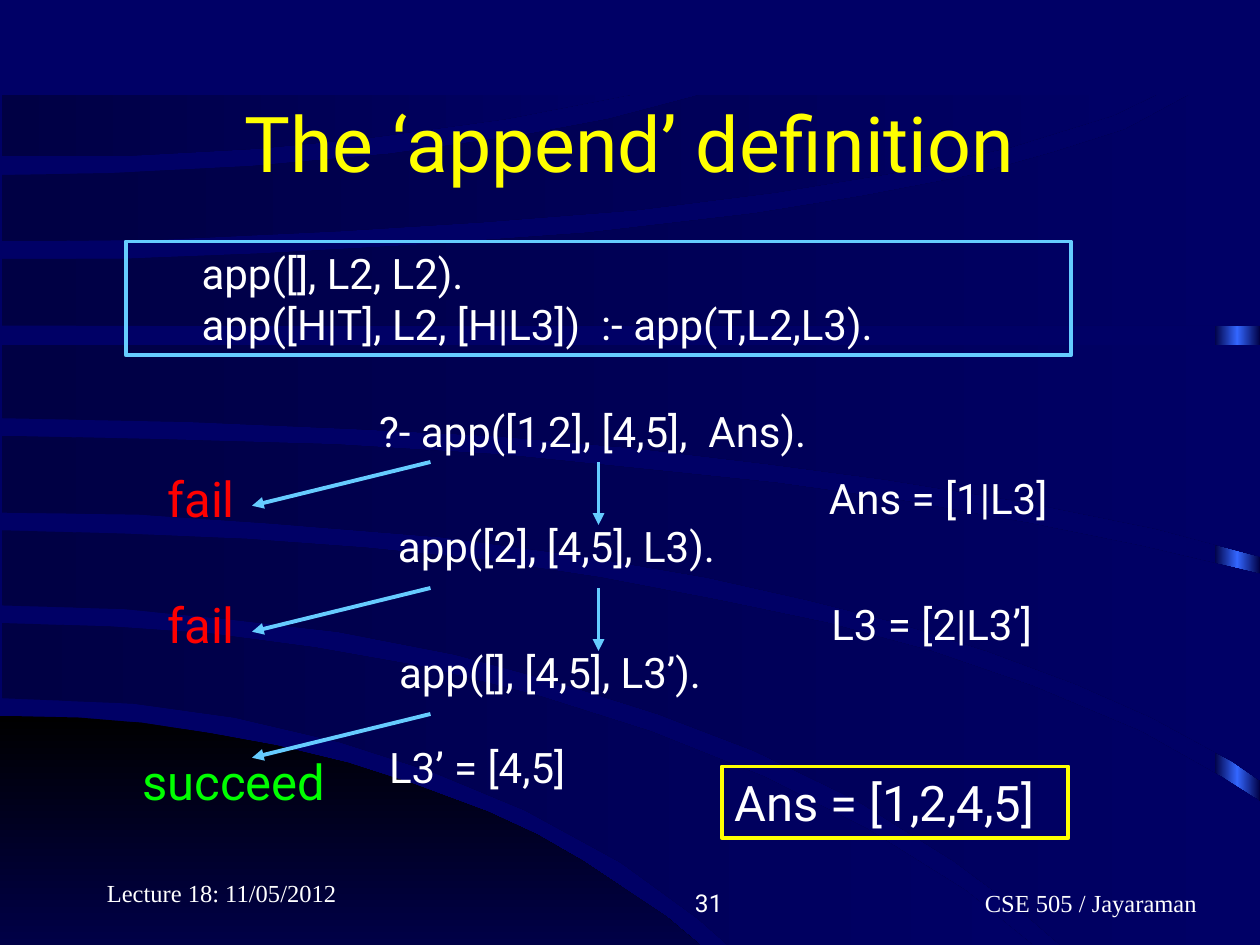
import copy
from dataclasses import dataclass

import pptx
import pptx.dml.color
import pptx.enum.shapes
import pptx.enum.text
import pptx.oxml
import pptx.oxml.ns
import pptx.util

Pt = pptx.util.Pt
ALIGN = pptx.enum.text.PP_ALIGN
ANCHOR = pptx.enum.text.MSO_ANCHOR
RECTANGLE = pptx.enum.shapes.MSO_SHAPE.RECTANGLE
STRAIGHT = pptx.enum.shapes.MSO_CONNECTOR.STRAIGHT

WIDTH, HEIGHT = 720, 540
NAVY, DARK, SKY = "000066", "000044", "66CCFF"
WHITE, YELLOW, RED, GREEN = "FFFFFF", "FFFF00", "FF0000", "00FF00"
STEP = 72  # vertical distance between resolution steps

Points = list[tuple[float, float]]


@dataclass
class Band:
    """Area between two curves, both listed from left to right."""
    top: Points
    bottom: Points


@dataclass
class Label:
    text: str
    left: float
    top: float
    width: float
    size: float = 24
    color: str = WHITE


@dataclass
class Arrow:
    start: tuple[float, float]
    end: tuple[float, float]


BANDS = [
    Band([(1, 356), (63, 358), (120, 362), (180, 370), (242, 381), (309, 398), (372, 418),
          (437, 444), (496, 474), (552, 509), (590, 540)],
         [(1, 399), (76, 402), (134, 410), (194, 424), (247, 441), (300, 463), (355, 493),
          (399, 525), (416, 540)]),
    Band([(1, 303), (71, 305), (141, 308), (209, 313), (277, 320), (343, 330), (411, 343),
          (473, 356), (532, 372), (590, 392), (652, 418), (698, 444), (720, 458)],
         [(1, 346), (71, 348), (132, 354), (193, 361), (260, 374), (319, 390), (376, 408),
          (431, 429), (489, 457), (545, 492), (584, 521), (606, 540), (720, 540)]),
    Band([(1, 249), (90, 251), (192, 254), (289, 260), (377, 269), (444, 276), (515, 286),
          (588, 299), (652, 312), (720, 328)],
         [(1, 293), (79, 294), (153, 299), (253, 307), (334, 318), (404, 330), (462, 343),
          (513, 356), (564, 372), (615, 391), (658, 410), (704, 435), (720, 446)]),
    Band([(1, 197), (720, 197)],
         [(1, 239), (107, 241), (201, 245), (281, 249), (362, 256), (438, 265), (506, 274),
          (586, 287), (660, 302), (720, 318)]),
    Band([(1, 148), (68, 148), (147, 145), (238, 140), (336, 133), (431, 122), (493, 112),
          (556, 100), (602, 87), (643, 74), (680, 54), (720, 54)],
         [(1, 186), (720, 186)]),
    Band([(1, 100), (63, 99), (143, 95), (222, 88), (300, 77), (348, 68), (401, 54)],
         [(1, 138), (91, 137), (195, 132), (275, 127), (364, 120), (443, 110), (516, 98),
          (578, 84), (636, 66), (661, 54)]),
    Band([(1, 54), (361, 54)],
         [(1, 89), (73, 89), (146, 85), (209, 79), (289, 68), (361, 54)]),
]
GLOW = Band([(0, 409), (45, 410), (81, 413), (120, 419), (158, 426), (199, 436), (236, 448),
             (279, 464), (307, 477), (333, 492), (357, 508), (381, 524), (400, 540)],
            [(0, 540)])

GOALS = [
    Label("?- app([1,2], [4,5],  Ans).", 209.5, 228, 275),
    Label("app([2], [4,5], L3).", 220.3, 294, 209),
    Label("app([], [4,5], L3’).", 221, 366, 199.5),
]
BINDINGS = [
    Label("Ans = [1|L3]", 466.6, 266.4, 151),
    Label("L3 = [2|L3’]", 468, 338.4, 139.7),
    Label("L3’ = [4,5]", 215.3, 420, 126.7),
]
OUTCOMES = [
    Label("fail", 88.6, 264.2, 54, 28, RED),
    Label("fail", 88.6, 264.2 + STEP, 54, 28, RED),
    Label("succeed", 74.2, 426.2, 120, 28, GREEN),
]
ARROWS = [Arrow((246, 264 + i * STEP), (144, 289 + i * STEP)) for i in range(3)]
ARROWS += [Arrow((342, 264 + i * STEP), (342, 300 + i * STEP)) for i in range(2)]


def rgb(color: str):
    return pptx.dml.color.RGBColor.from_string(color)


def write(shape, text: str, *, size: float = 24, color: str = WHITE, font: str = "Roboto",
          align=ALIGN.LEFT, anchor=ANCHOR.TOP, wrap: bool = True,
          left_margin: float = 7.2, right_margin: float = 7.2) -> None:
    frame = shape.text_frame
    frame.text = text
    frame.word_wrap = wrap
    frame.vertical_anchor = anchor
    frame.margin_left, frame.margin_right = Pt(left_margin), Pt(right_margin)
    frame.margin_top = frame.margin_bottom = Pt(3.6)
    for paragraph in frame.paragraphs:
        paragraph.alignment = align
        paragraph.font.name = font
        paragraph.font.size = Pt(size)
        paragraph.font.color.rgb = rgb(color)


def fill_gradient(shape, colors: list[str], angle: float = 0) -> None:
    shape.shadow.inherit = False
    shape.line.fill.background()
    shape.fill.gradient()
    shape.fill.gradient_angle = angle
    stop_list = next(shape.element.iter(pptx.oxml.ns.qn("a:gsLst")))
    while len(stop_list) < len(colors):
        stop_list.append(copy.deepcopy(stop_list[-1]))
    for i, (stop, color) in enumerate(zip(shape.fill.gradient_stops, colors)):
        stop.color.rgb = rgb(color)
        stop.position = i / (len(colors) - 1)


def draw_band(shapes, band: Band, colors: list[str], angle: float = 0) -> None:
    first, *rest = band.top + band.bottom[::-1]
    builder = shapes.build_freeform(*first, scale=Pt(1))
    builder.add_line_segments(rest, close=True)
    fill_gradient(builder.convert_to_shape(), colors, angle)


def draw_label(shapes, label: Label, **style) -> None:
    box = shapes.add_textbox(Pt(label.left), Pt(label.top), Pt(label.width), Pt(36))
    write(box, label.text, size=label.size, color=label.color, **style)


def draw_frame(shapes, left: float, top: float, width: float, height: float, color: str):
    frame = shapes.add_shape(RECTANGLE, Pt(left), Pt(top), Pt(width), Pt(height))
    frame.shadow.inherit = False
    frame.fill.background()
    frame.line.color.rgb = rgb(color)
    frame.line.width = Pt(2.25)
    return frame


def draw_arrow(shapes, arrow: Arrow) -> None:
    line = shapes.add_connector(STRAIGHT, *map(Pt, arrow.start + arrow.end))
    line.line.color.rgb = rgb(SKY)
    line.line.width = Pt(2.25)
    tail = pptx.oxml.parse_xml(f'<a:tailEnd {pptx.oxml.ns.nsdecls("a")} type="triangle"/>')
    line.line._get_or_add_ln().append(tail)
    properties = line.element.find(pptx.oxml.ns.qn("p:spPr"))
    properties.append(pptx.oxml.parse_xml(f'<a:effectLst {pptx.oxml.ns.nsdecls("a")}/>'))


def main() -> None:
    deck = pptx.Presentation()
    deck.slide_width, deck.slide_height = Pt(WIDTH), Pt(HEIGHT)
    slide = deck.slides.add_slide(deck.slide_layouts[5])
    shapes = slide.shapes

    # Backdrop
    slide.background.fill.solid()
    slide.background.fill.fore_color.rgb = rgb(NAVY)
    edge = shapes.add_shape(RECTANGLE, Pt(694), Pt(55), Pt(26), Pt(485))
    fill_gradient(edge, [DARK, "3366FF", DARK])
    draw_band(shapes, GLOW, ["000000", "000047"], angle=270)
    for band in BANDS:
        draw_band(shapes, band, [DARK, NAVY])

    # Title, raised above the backdrop
    title = shapes.title
    title.left, title.top, title.width, title.height = Pt(54), Pt(36), Pt(612), Pt(90)
    write(title, "The ‘append’ definition", size=44, color=YELLOW,
          align=ALIGN.CENTER, anchor=ANCHOR.MIDDLE)
    title.element.getparent().append(title.element)

    # Definition and final answer
    definition = draw_frame(shapes, 72, 138, 540, 65, SKY)
    write(definition, "app([], L2, L2).\napp([H|T], L2, [H|L3])  :- app(T,L2,L3).", left_margin=43.2)
    answer = draw_frame(shapes, 412.5, 438, 198, 41, YELLOW)
    write(answer, "Ans = [1,2,4,5]", size=28, wrap=False)

    # Resolution steps
    for arrow in ARROWS:
        draw_arrow(shapes, arrow)
    for label in GOALS + BINDINGS + OUTCOMES:
        draw_label(shapes, label, wrap=False)

    # Footer
    draw_label(shapes, Label("Lecture 18: 11/05/2012", 54, 486, 150, 14),
               font="Times New Roman", anchor=ANCHOR.BOTTOM)
    draw_label(shapes, Label("31", 270, 492, 150, 14), align=ALIGN.RIGHT, anchor=ANCHOR.BOTTOM)
    draw_label(shapes, Label("CSE 505 / Jayaraman", 474, 492, 228, 14), font="Times New Roman",
               align=ALIGN.RIGHT, anchor=ANCHOR.BOTTOM, right_margin=18)

    deck.save("out.pptx")


if __name__ == "__main__":
    main()
